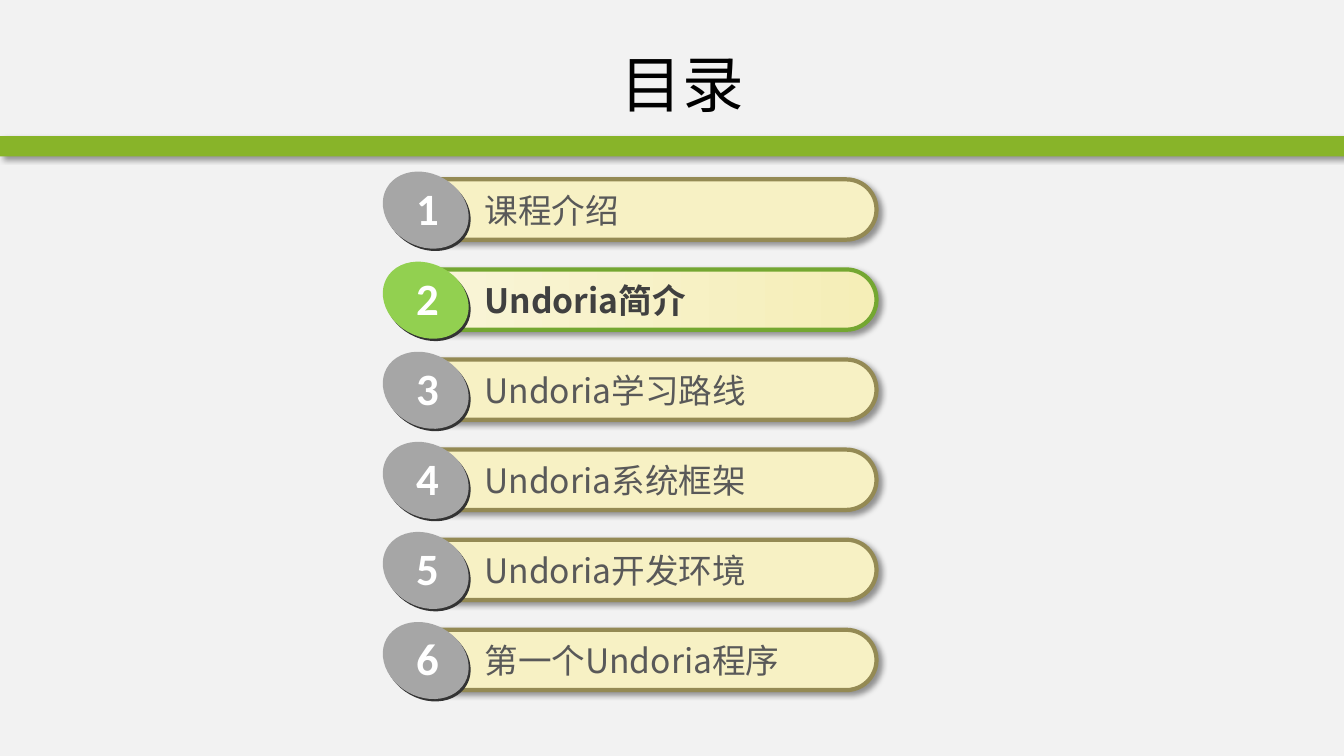
from dataclasses import dataclass

from lxml import etree
from pptx import Presentation
from pptx.dml.color import RGBColor
from pptx.enum.shapes import MSO_SHAPE
from pptx.enum.text import MSO_ANCHOR, MSO_AUTO_SIZE, PP_ALIGN
from pptx.oxml.ns import qn
from pptx.shapes.autoshape import Shape
from pptx.shapes.shapetree import GroupShapes
from pptx.slide import Slide
from pptx.text.text import TextFrame
from pptx.util import Cm, Pt

RECT, PILL, OVAL = MSO_SHAPE.RECTANGLE, MSO_SHAPE.ROUNDED_RECTANGLE, MSO_SHAPE.OVAL
MIDDLE, CENTER = MSO_ANCHOR.MIDDLE, PP_ALIGN.CENTER
FIT_TEXT = MSO_AUTO_SIZE.SHAPE_TO_FIT_TEXT

BACKGROUND = RGBColor(0xF2, 0xF2, 0xF2)
BAR_GREEN = RGBColor(0x88, 0xB4, 0x29)
CREAM = RGBColor(0xF7, 0xF1, 0xC4)
CREAM_LIGHT = RGBColor(0xF9, 0xF5, 0xD9)
CREAM_DEEP = RGBColor(0xF5, 0xEE, 0xB7)
OLIVE = RGBColor(0x94, 0x8A, 0x54)
ACTIVE_EDGE = RGBColor(0x74, 0xA7, 0x31)
ACTIVE_BADGE = RGBColor(0x92, 0xD0, 0x50)
BADGE_GRAY = RGBColor(0xA6, 0xA6, 0xA6)
BADGE_EDGE = RGBColor(0x33, 0x33, 0x33)
TEXT_GRAY = RGBColor(0x59, 0x59, 0x59)
TEXT_DARK = RGBColor(0x40, 0x40, 0x40)
WHITE = RGBColor(0xFF, 0xFF, 0xFF)
BLACK = RGBColor(0, 0, 0)

CJK_FONT = "Noto Sans CJK SC"
NUMBER_FONT = "Calibri"
FIRST_TOP, ROW_PITCH = 4.52, 2.27


@dataclass(frozen=True)
class Chapter:
    name: str
    active: bool = False


@dataclass(frozen=True)
class Box:
    """Position and size in centimetres."""
    left: float
    top: float
    width: float
    height: float

    def lengths(self) -> tuple[Cm, Cm, Cm, Cm]:
        return Cm(self.left), Cm(self.top), Cm(self.width), Cm(self.height)


CHAPTERS = [
    Chapter("课程介绍"),
    Chapter("Undoria简介", active=True),
    Chapter("Undoria学习路线"),
    Chapter("Undoria系统框架"),
    Chapter("Undoria开发环境"),
    Chapter("第一个Undoria程序"),
]


def write_text(tf: TextFrame, text: str, *, size: float, color: RGBColor,
               font: str = CJK_FONT, bold: bool = False) -> None:
    r = tf.paragraphs[0].add_run()
    r.text = text
    r.font.size, r.font.bold, r.font.name = Pt(size), bold, font
    r.font.color.rgb = color
    ea = etree.SubElement(r.font._element, qn("a:ea"))
    ea.set("typeface", font)


def add_label(shapes: GroupShapes, box: Box, text: str, *, wrap: bool = True,
              size: float, color: RGBColor, font: str = CJK_FONT,
              bold: bool = False) -> None:
    tf = shapes.add_textbox(*box.lengths()).text_frame
    tf.word_wrap = wrap
    tf.auto_size = FIT_TEXT
    write_text(tf, text, size=size, color=color, font=font, bold=bold)


def add_filled(shapes: GroupShapes, kind: MSO_SHAPE, box: Box, color: RGBColor) -> Shape:
    sp = shapes.add_shape(kind, *box.lengths())
    sp.shadow.inherit = False
    sp.fill.solid()
    sp.fill.fore_color.rgb = color
    sp.line.fill.background()
    return sp


def add_drop_shadow(sp: Shape) -> None:
    effects = sp._element.spPr.find(qn("a:effectLst"))
    shadow = etree.SubElement(effects, qn("a:outerShdw"), blurRad=str(Pt(4)),
                              dist=str(Pt(3)), dir="2700000", algn="tl",
                              rotWithShape="0")
    color = etree.SubElement(shadow, qn("a:srgbClr"), val="000000")
    etree.SubElement(color, qn("a:alpha"), val="40000")


def add_pill(shapes: GroupShapes, top: float, active: bool) -> None:
    sp = add_filled(shapes, PILL, Box(10.13, top, 11.96, 1.52), CREAM)
    sp.adjustments[0] = 0.5
    sp.line.color.rgb = ACTIVE_EDGE if active else OLIVE
    sp.line.width = Pt(3)
    if active:
        sp.fill.gradient()
        sp.fill.gradient_angle = 0
        for stop, color in zip(sp.fill.gradient_stops, (CREAM_LIGHT, CREAM_DEEP)):
            stop.color.rgb = color
    add_drop_shadow(sp)


def add_chapter(slide: Slide, number: int, chapter: Chapter) -> None:
    top = FIRST_TOP + (number - 1) * ROW_PITCH
    shapes = slide.shapes.add_group_shape().shapes
    add_pill(shapes, top, chapter.active)
    add_label(shapes, Box(11.96, top + 0.14, 9.53, 1.3), chapter.name, size=24,
              color=TEXT_DARK if chapter.active else TEXT_GRAY, bold=chapter.active)
    face = ACTIVE_BADGE if chapter.active else BADGE_GRAY
    for left, rise, color in ((9.65, 0.08, BADGE_EDGE), (9.6, 0.14, face)):
        add_filled(shapes, OVAL, Box(left, top - rise, 2.26, 1.83), color).rotation = 29.3
    add_label(shapes, Box(10.24, top - 0.1, 1.09, 1.63), str(number), wrap=False,
              size=32, color=WHITE, font=NUMBER_FONT, bold=True)


def add_title(slide: Slide, text: str) -> None:
    sp = slide.shapes.title
    sp.left, sp.top, sp.width, sp.height = Box(3.53, 0.76, 27.33, 2.67).lengths()
    tf = sp.text_frame
    tf.vertical_anchor = MIDDLE
    tf.paragraphs[0].alignment = CENTER
    write_text(tf, text, size=44, color=BLACK)


def main() -> None:
    prs = Presentation()
    prs.slide_width, prs.slide_height = Cm(33.87), Cm(19.05)
    slide = prs.slides.add_slide(prs.slide_layouts.get_by_name("Title Only"))
    slide.background.fill.solid()
    slide.background.fill.fore_color.rgb = BACKGROUND

    add_title(slide, "目录")
    add_drop_shadow(add_filled(slide.shapes, RECT, Box(0, 3.43, 33.87, 0.51), BAR_GREEN))
    for number, chapter in enumerate(CHAPTERS, start=1):
        add_chapter(slide, number, chapter)
    prs.save("out.pptx")


if __name__ == "__main__":
    main()
